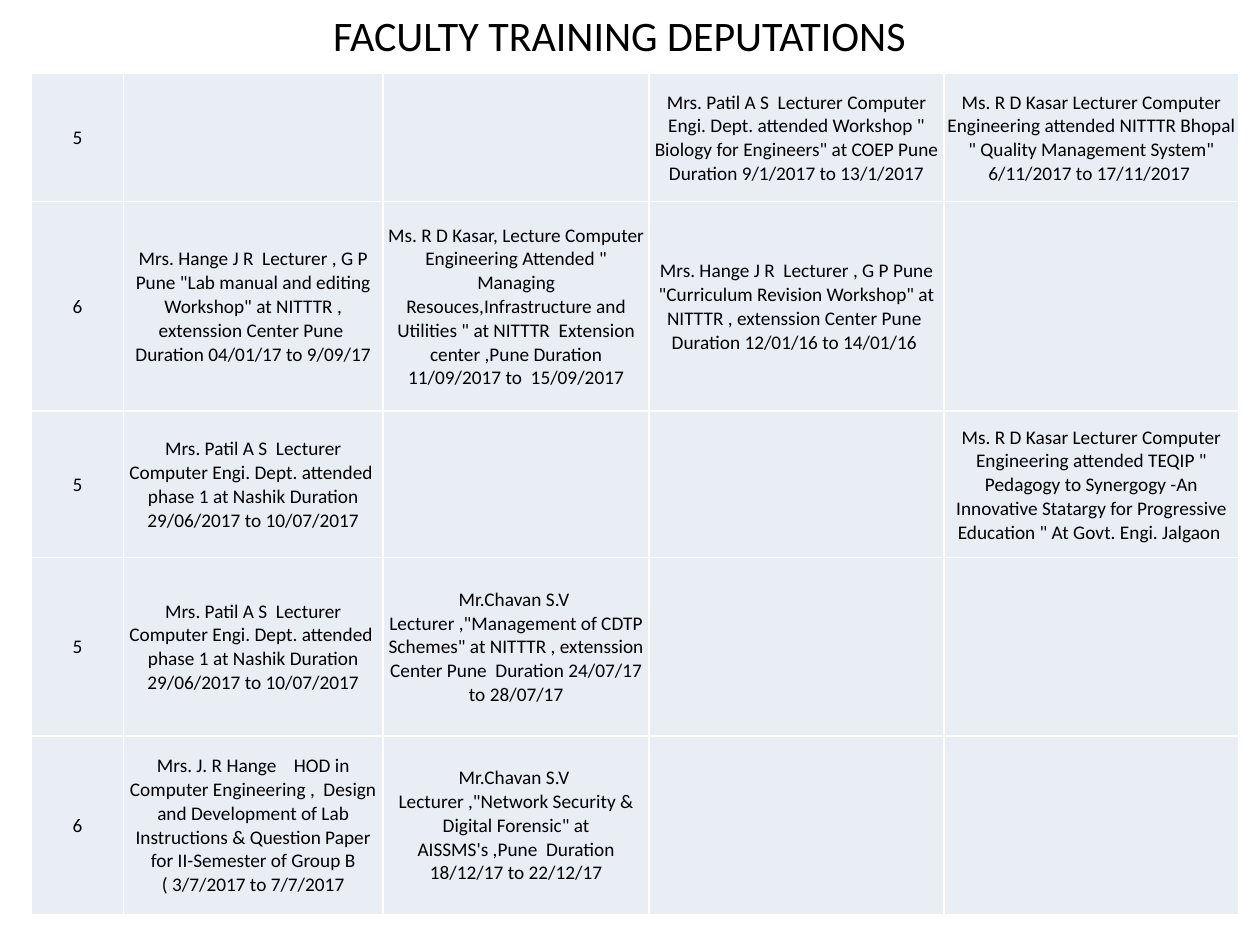
from lxml.etree import SubElement
from pptx import Presentation
from pptx.dml.color import RGBColor
from pptx.enum.text import MSO_ANCHOR, PP_ALIGN
from pptx.oxml.ns import qn
from pptx.util import Pt

BLACK = RGBColor(0x00, 0x00, 0x00)
WHITE = RGBColor(0xFF, 0xFF, 0xFF)
CELL_FILL = RGBColor(0xE9, 0xED, 0xF4)
FONT = "Calibri"

# Content
TITLE = "FACULTY TRAINING DEPUTATIONS"
PHASE_ONE = ("Mrs. Patil A S  Lecturer Computer Engi. Dept. attended  phase 1 "
             "at Nashik Duration 29/06/2017 to 10/07/2017")
DEPUTATIONS = [
    ["5", "", "",
     'Mrs. Patil A S  Lecturer Computer Engi. Dept. attended Workshop " Biology '
     'for Engineers" at COEP Pune Duration 9/1/2017 to 13/1/2017',
     'Ms. R D Kasar Lecturer Computer Engineering attended NITTTR Bhopal " Quality '
     'Management System" 6/11/2017 to 17/11/2017 '],
    ["6",
     'Mrs. Hange J R  Lecturer , G P Pune "Lab manual and editing Workshop" at '
     'NITTTR , extenssion Center Pune  Duration 04/01/17 to 9/09/17',
     'Ms. R D Kasar, Lecture Computer Engineering Attended " Managing '
     'Resouces,Infrastructure and Utilities " at NITTTR  Extension center ,Pune '
     'Duration 11/09/2017 to  15/09/2017',
     'Mrs. Hange J R  Lecturer , G P Pune "Curriculum Revision Workshop" at '
     'NITTTR , extenssion Center Pune  Duration 12/01/16 to 14/01/16 ',
     ""],
    ["5", PHASE_ONE, "", "",
     'Ms. R D Kasar Lecturer Computer Engineering attended TEQIP " Pedagogy to '
     'Synergogy -An Innovative Statargy for Progressive Education " At Govt. '
     'Engi. Jalgaon '],
    ["5", PHASE_ONE,
     'Mr.Chavan S.V  Lecturer ,"Management of CDTP Schemes" at NITTTR , '
     'extenssion Center Pune  Duration 24/07/17 to 28/07/17',
     "", ""],
    ["6",
     "Mrs. J. R Hange    HOD in Computer Engineering ,  Design and Development of "
     "Lab Instructions & Question Paper for II-Semester of Group B "
     "( 3/7/2017 to 7/7/2017",
     'Mr.Chavan S.V  Lecturer ,"Network Security & Digital Forensic" at '
     "AISSMS's ,Pune  Duration 18/12/17 to 22/12/17",
     "", ""],
]
COLUMN_WIDTHS = [52.5, 148.5, 152, 168.5, 168.5]
ROW_HEIGHTS = [73, 120, 83.5, 102, 102]
TABLE_LEFT, TABLE_TOP = 18, 42


def write_text(text_frame, text, size, color=BLACK, align=PP_ALIGN.CENTER):
    paragraph = text_frame.paragraphs[0]
    paragraph.alignment = align
    paragraph.font.size = Pt(size)
    run = paragraph.add_run()
    run.text = text
    run.font.name = FONT
    run.font.size = Pt(size)
    run.font.color.rgb = color


def style_cell(cell):
    cell.vertical_anchor = MSO_ANCHOR.MIDDLE
    cell.margin_left = cell.margin_right = cell.margin_top = Pt(0.75)
    cell.margin_bottom = 0
    # Borders come before the fill in the cell properties
    properties = cell._tc.get_or_add_tcPr()
    for side in ("a:lnL", "a:lnR", "a:lnT", "a:lnB"):
        line = SubElement(properties, qn(side), w=str(Pt(1)))
        solid = SubElement(line, qn("a:solidFill"))
        SubElement(solid, qn("a:srgbClr"), val=str(WHITE))
    cell.fill.solid()
    cell.fill.fore_color.rgb = CELL_FILL


presentation = Presentation()
presentation.slide_width, presentation.slide_height = Pt(720), Pt(540)
slide = presentation.slides.add_slide(presentation.slide_layouts[6])

# Title
title = slide.shapes.add_textbox(Pt(30), Pt(5), Pt(648), Pt(30))
title.text_frame.word_wrap = True
title.text_frame.vertical_anchor = MSO_ANCHOR.MIDDLE
write_text(title.text_frame, TITLE, size=24)

# Deputation table
table = slide.shapes.add_table(
    len(ROW_HEIGHTS), len(COLUMN_WIDTHS), Pt(TABLE_LEFT), Pt(TABLE_TOP),
    Pt(sum(COLUMN_WIDTHS)), Pt(sum(ROW_HEIGHTS))).table
table.first_row = table.horz_banding = False
for column, width in zip(table.columns, COLUMN_WIDTHS):
    column.width = Pt(width)
for row, height, texts in zip(table.rows, ROW_HEIGHTS, DEPUTATIONS):
    row.height = Pt(height)
    for cell, text in zip(row.cells, texts):
        style_cell(cell)
        if text:
            write_text(cell.text_frame, text, size=11)

presentation.save("out.pptx")
